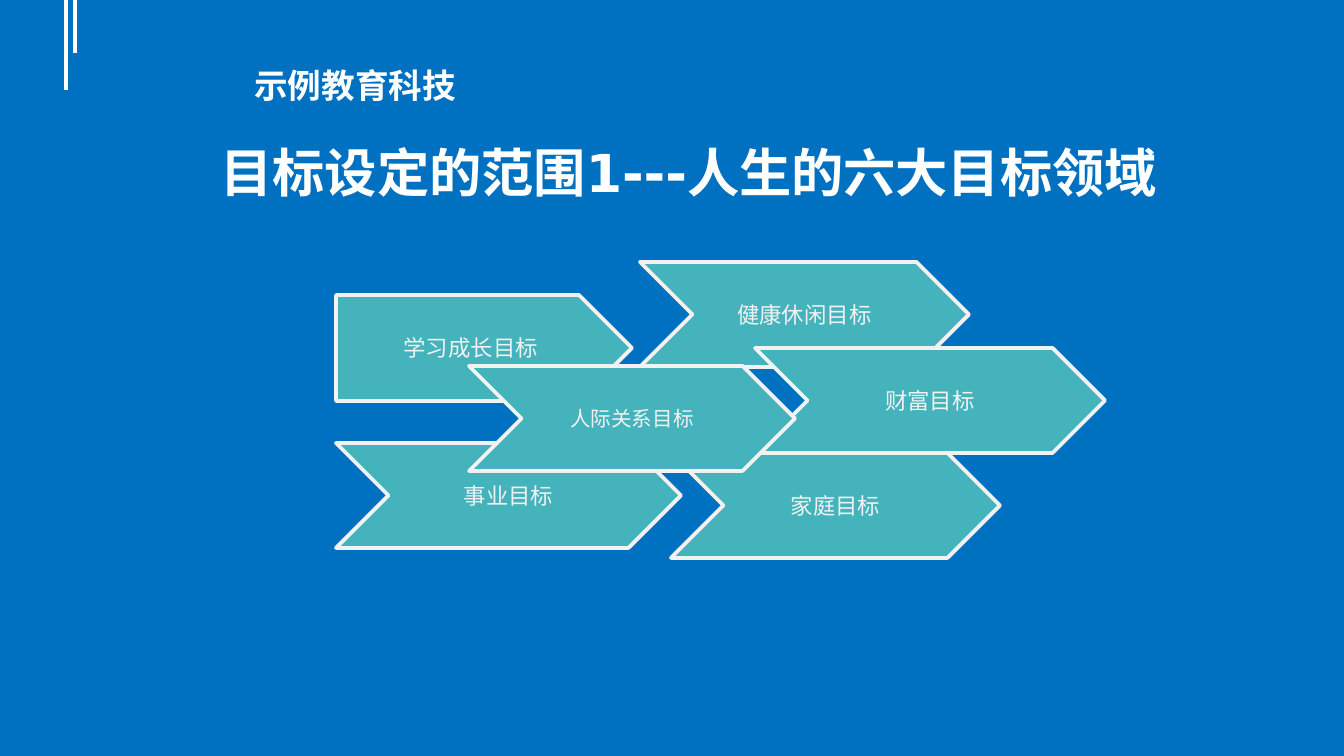
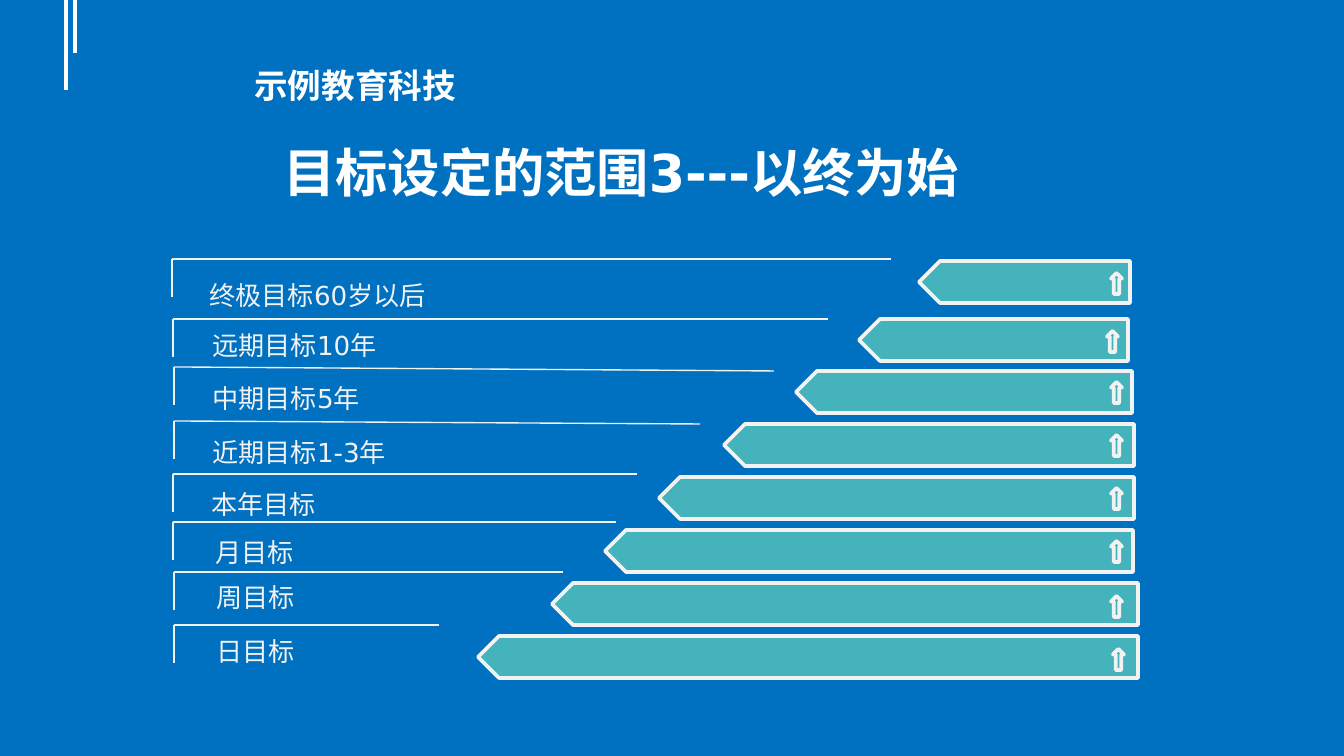
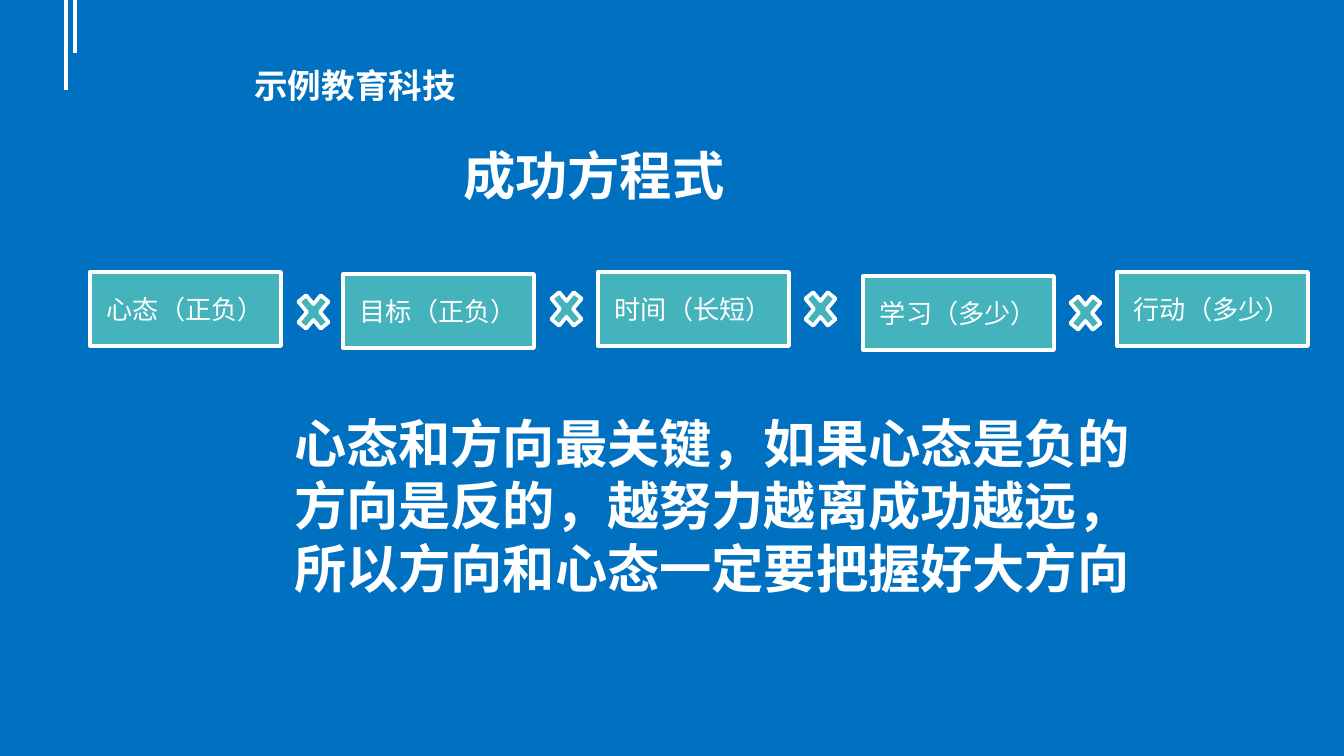
from lxml import etree
from pptx import Presentation
from pptx.dml.color import RGBColor
from pptx.enum.shapes import MSO_CONNECTOR, MSO_SHAPE
from pptx.enum.text import MSO_ANCHOR, PP_ALIGN
from pptx.oxml.ns import qn
from pptx.util import Emu, Pt

EMU_PER_PX = 914400 / 134.4
SLIDE_W, SLIDE_H = 1344, 756
TITLE_ONLY = 5
FONT = "DejaVu Sans"
COLORS = {"back": "0070C0", "teal": "44B3BB", "white": "FFFFFF", "pale": "F2F2F2"}

STRAIGHT = MSO_CONNECTOR.STRAIGHT
PENTAGON, CHEVRON = MSO_SHAPE.PENTAGON, MSO_SHAPE.CHEVRON
UP_ARROW, RECTANGLE, TIMES = MSO_SHAPE.UP_ARROW, MSO_SHAPE.RECTANGLE, MSO_SHAPE.MATH_MULTIPLY
MIDDLE, TOP = MSO_ANCHOR.MIDDLE, MSO_ANCHOR.TOP
LEFT, CENTER = PP_ALIGN.LEFT, PP_ALIGN.CENTER

BRAND = "示例教育科技"

# kind, x, y, width, height, text, size
LIFE_GOALS = [
    (PENTAGON, 0, 33, 296, 106, "学习成长目标", 12),
    (CHEVRON, 0, 181, 345, 105, "事业目标", 12),
    (CHEVRON, 304, 0, 329, 105, "健康休闲目标", 12),
    (CHEVRON, 335, 191, 329, 105, "家庭目标", 12),
    (CHEVRON, 419, 86, 350, 105, "财富目标", 12),
    (CHEVRON, 133, 104, 326, 105, "人际关系目标", 11),
]

# text, text x, text y, rule x, rule y, rule end x, rule drop, bar x, bar y, bar end x, arrow x, arrow y
HORIZONS = [
    ("终极目标60岁以后", 24, 14, 0, 0, 719, 0, 747, 2, 958, 939, 14),
    ("远期目标10年", 27, 64, 1, 60, 656, 0, 687, 60, 956, 935, 72),
    ("中期目标5年", 27, 117, 2, 108, 602, 4, 624, 112, 960, 939, 123),
    ("近期目标1-3年", 27, 171, 2, 162, 528, 3, 552, 165, 962, 939, 176),
    ("本年目标", 26, 223, 1, 215, 465, 0, 487, 218, 962, 939, 229),
    ("月目标", 30, 271, 1, 263, 444, 0, 433, 271, 961, 939, 282),
    ("周目标", 31, 316, 2, 313, 391, 0, 380, 324, 966, 939, 337),
    ("日目标", 31, 370, 2, 366, 267, 0, 306, 377, 966, 941, 390),
]

# text, x, y
FACTORS = [
    ("心态（正负）", 0, 0),
    ("目标（正负）", 253, 2),
    ("时间（长短）", 508, 0),
    ("学习（多少）", 773, 4),
    ("行动（多少）", 1027, 0),
]
TIMES_SPOTS = [(202, 14), (455, 11), (709, 11), (974, 15)]


def px(*lengths):
    return [Emu(round(n * EMU_PER_PX)) for n in lengths]


def rgb(name):
    return RGBColor.from_string(COLORS[name])


def write(shape, lines, size, color, bold=False, align=LEFT, anchor=TOP):
    frame = shape.text_frame
    frame.word_wrap = True
    frame.vertical_anchor = anchor
    frame.text = "\n".join(lines)
    for paragraph in frame.paragraphs:
        paragraph.alignment = align
        font = paragraph.font
        font.name, font.size, font.bold = FONT, Pt(size), bold
        font.color.rgb = rgb(color)


def add_text(slide, box, lines, size, color, **style):
    write(slide.shapes.add_textbox(*px(*box)), lines, size, color, **style)


def add_block(slide, kind, box, outline="pale"):
    block = slide.shapes.add_shape(kind, *px(*box))
    block.shadow.inherit = False
    block.fill.solid()
    block.fill.fore_color.rgb = rgb("teal")
    block.line.color.rgb = rgb(outline)
    block.line.width = Pt(2)
    return block


def add_rule(slide, x1, y1, x2, y2, color="pale", width=0.75):
    rule = slide.shapes.add_connector(STRAIGHT, *px(x1, y1, x2, y2))
    rule.line.color.rgb = rgb(color)
    rule.line.width = Pt(width)
    etree.SubElement(rule._element.spPr, qn("a:effectLst"))
    return rule


def style_template(prs):
    """Give the master its background."""
    fill = prs.slide_master.background.fill
    fill.solid()
    fill.fore_color.rgb = rgb("back")


def add_slide(prs, title, title_box):
    slide = prs.slides.add_slide(prs.slide_layouts[TITLE_ONLY])
    for x, length in ((66, 90), (75, 53)):
        add_rule(slide, x, 0, x, length, "white", 2.25)
    heading = slide.shapes.title
    heading.left, heading.top, heading.width, heading.height = px(*title_box)
    write(heading, [title], 28, "white", bold=True, anchor=MIDDLE)
    add_text(slide, (241, 58, 275, 86), [BRAND], 18, "white", bold=True)
    return slide


def add_life_goals(slide, left, top):
    for kind, x, y, width, height, goal, size in LIFE_GOALS:
        block = add_block(slide, kind, (left + x, top + y, width, height))
        write(block, [goal], size, "pale", align=CENTER, anchor=MIDDLE)


def add_horizons(slide, left, top):
    """Stack the time horizons: a cornered label at left, a bar with an arrow at right."""
    for (label, label_x, label_y, rule_x, rule_y, rule_end, drop,
         bar_x, bar_y, bar_end, arrow_x, arrow_y) in HORIZONS:
        bar = add_block(slide, PENTAGON, (left + bar_x, top + bar_y, bar_end - bar_x, 42))
        bar.rotation = 180
        add_block(slide, UP_ARROW, (left + arrow_x, top + arrow_y, 11, 21))
        x, y = left + rule_x, top + rule_y
        add_rule(slide, x, y, left + rule_end, y + drop)
        add_rule(slide, x, y, x, y + 38)
        add_text(slide, (left + label_x, top + label_y, 528, 46), [label], 14, "pale")


def add_equation(slide, left, top):
    for factor, x, y in FACTORS:
        block = add_block(slide, RECTANGLE, (left + x, top + y, 191, 74), "white")
        write(block, [factor], 14, "white", align=CENTER, anchor=MIDDLE)
    for x, y in TIMES_SPOTS:
        add_block(slide, TIMES, (left + x, top + y, 43, 52), "white")


def main():
    prs = Presentation()
    prs.slide_width, prs.slide_height = px(SLIDE_W, SLIDE_H)
    style_template(prs)

    areas = add_slide(prs, "目标设定的范围1---人生的六大目标领域", (207, 134, 1013, 75))
    add_life_goals(areas, 336, 262)

    backward = add_slide(prs, "目标设定的范围3---以终为始", (270, 134, 1074, 75))
    add_horizons(backward, 172, 259)

    formula = add_slide(prs, "成功方程式", (450, 137, 888, 75))
    add_equation(formula, 90, 272)
    advice = ["心态和方向最关键，如果心态是负的",
              "方向是反的，越努力越离成功越远，所以方向和心态一定要把握好大方向"]
    add_text(formula, (281, 400, 888, 210), advice, 28, "white", bold=True, anchor=MIDDLE)

    prs.save("out.pptx")


if __name__ == "__main__":
    main()
